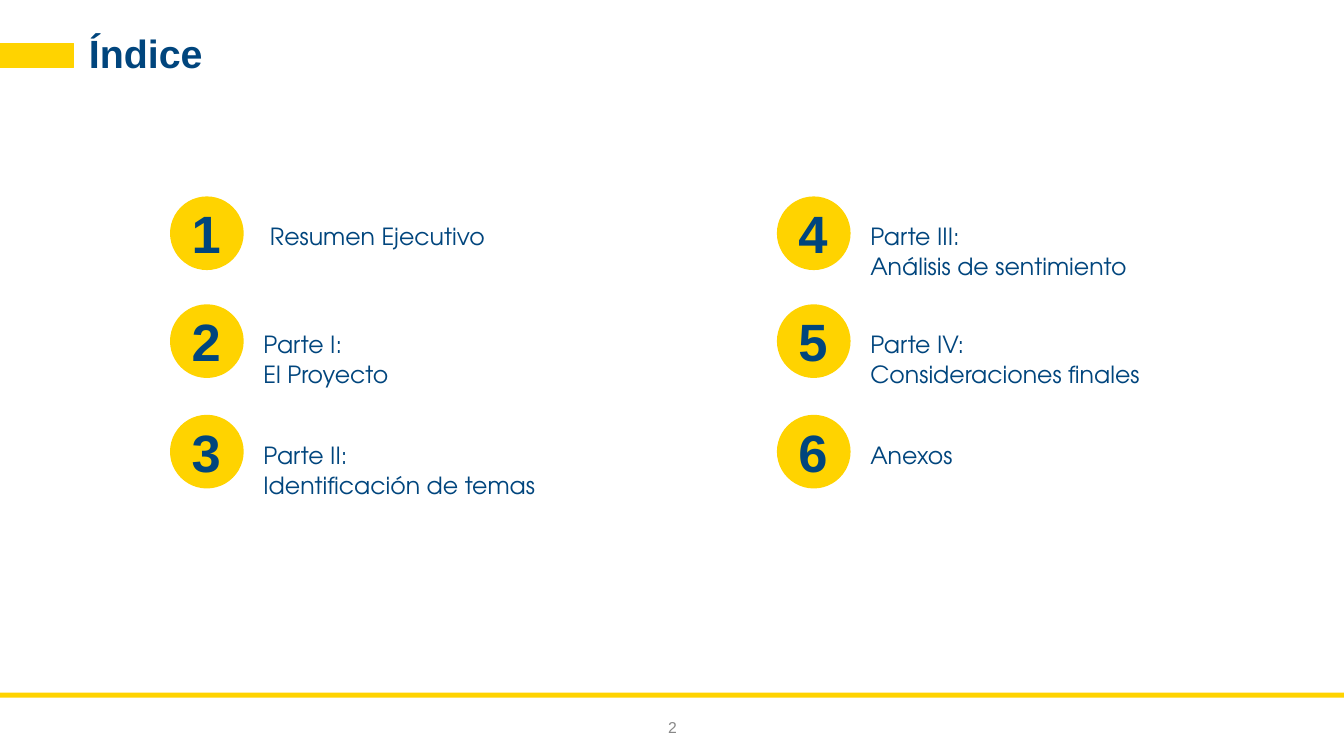
from pptx import Presentation
from pptx.dml.color import RGBColor
from pptx.enum.shapes import MSO_SHAPE
from pptx.enum.text import MSO_ANCHOR, MSO_AUTO_SIZE, PP_ALIGN
from pptx.util import Cm, Pt

YELLOW, NAVY, GREY = "FFD300", "00457D", "888888"

TITLE = {"name": "Arial", "size": Pt(30), "bold": True}
NUMERAL = {"name": "Arial", "size": Pt(40), "bold": True}
LABEL = {"name": "TeX Gyre Adventor", "size": Pt(18), "bold": False}
PAGE = {"name": "Arial", "size": Pt(12), "bold": False}

ENTRIES = [
    [" Resumen Ejecutivo"],
    ["Parte I:", "El Proyecto"],
    ["Parte II:", "Identificación de temas"],
    ["Parte III:", "Análisis de sentimiento"],
    ["Parte IV:", "Consideraciones finales"],
    ["Anexos"],
]
COLUMNS = [4.57, 20.88]
ROWS = [5.28, 8.18, 11.15]
CIRCLE = 1.98


def color(value):
    return RGBColor.from_string(value)


class IndexSlide:
    def __init__(self, prs):
        self.s = prs.slides.add_slide(prs.slide_layouts[5])

    def fill_text(self, tf, lines, style, fill=NAVY, inset=(0, 0), spacing=1.0,
                  align=PP_ALIGN.LEFT, anchor=MSO_ANCHOR.TOP):
        x, y = (Cm(value) for value in inset)
        frame = {"word_wrap": True, "auto_size": MSO_AUTO_SIZE.NONE,
                 "vertical_anchor": anchor, "margin_left": x,
                 "margin_right": x, "margin_top": y, "margin_bottom": y}
        for key, value in frame.items():
            setattr(tf, key, value)
        for i, line in enumerate(lines):
            p = tf.paragraphs[0] if i == 0 else tf.add_paragraph()
            p.alignment = align
            p.line_spacing = spacing
            r = p.add_run()
            r.text = line
            for key, value in style.items():
                setattr(r.font, key, value)
            r.font.color.rgb = color(fill)

    def title(self, text, *box):
        sp = self.s.shapes.title
        sp.left, sp.top, sp.width, sp.height = map(Cm, box)
        self.fill_text(sp.text_frame, [text], TITLE, spacing=0.9)

    def text(self, lines, box, style, **options):
        sp = self.s.shapes.add_textbox(*map(Cm, box))
        self.fill_text(sp.text_frame, lines, style, **options)

    def shape(self, kind, *box, outline=False):
        sp = self.s.shapes.add_shape(kind, *map(Cm, box))
        sp.shadow.inherit = False
        sp.fill.solid()
        sp.fill.fore_color.rgb = color(YELLOW)
        if outline:
            sp.line.color.rgb = color(YELLOW)
            sp.line.width = Pt(1)
        else:
            sp.line.fill.background()

    def entry(self, number, lines, x, y):
        self.shape(MSO_SHAPE.OVAL, x, y, CIRCLE, CIRCLE)
        self.text([str(number)], (x + 0.33, y, 1.3, 1.96), NUMERAL,
                  inset=(0.25, 0.13))
        self.text(lines, (x + 2.51, y + 0.65, 9.3, 0.69), LABEL, spacing=1.06)


def main():
    prs = Presentation()
    prs.slide_width, prs.slide_height = Cm(36.12), Cm(20.32)
    index = IndexSlide(prs)
    index.shape(MSO_SHAPE.RECTANGLE, 0, 18.62, 36.12, 0.13)
    index.shape(MSO_SHAPE.RECTANGLE, 0, 1.17, 1.98, 0.64, outline=True)
    index.title("Índice", 2.39, 0.94, 33.02, 1.27)
    for i, lines in enumerate(ENTRIES):
        column, row = divmod(i, len(ROWS))
        index.entry(i + 1, lines, COLUMNS[column], ROWS[row])
    index.text(["2"], (17.3, 18.75, 1.55, 1.57), PAGE, fill=GREY,
               inset=(0.25, 0.13), align=PP_ALIGN.CENTER,
               anchor=MSO_ANCHOR.MIDDLE)
    prs.save("out.pptx")


if __name__ == "__main__":
    main()
